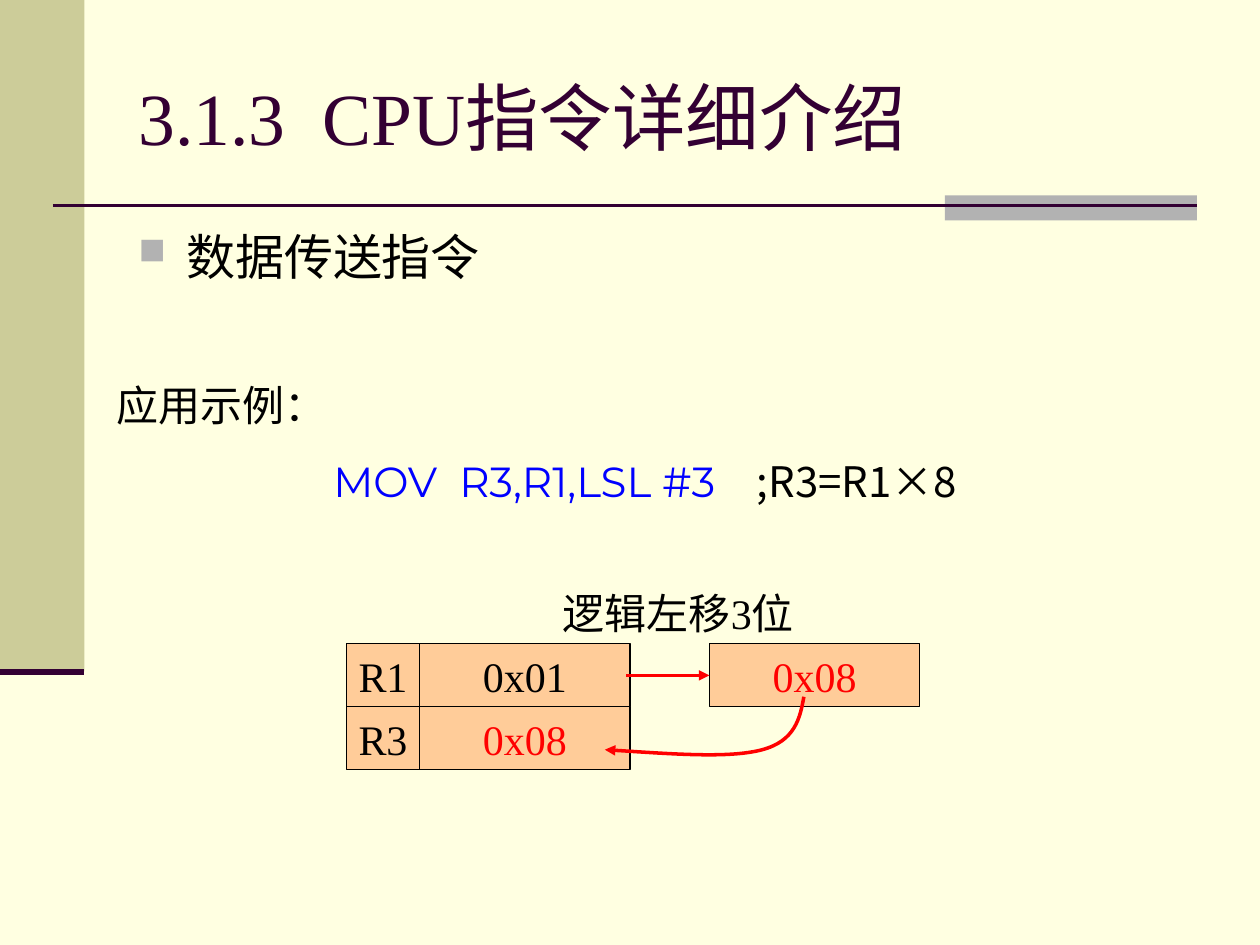
import dataclasses

import pptx
import pptx.dml.color
import pptx.enum.shapes
import pptx.enum.text
import pptx.oxml
import pptx.oxml.ns
import pptx.util

Inches = pptx.util.Inches
Pt = pptx.util.Pt
Align = pptx.enum.text.PP_ALIGN
Anchor = pptx.enum.text.MSO_ANCHOR
Shape = pptx.enum.shapes.MSO_SHAPE
qn = pptx.oxml.ns.qn


@dataclasses.dataclass(frozen=True)
class Theme:
    paper: str = "FFFFE1"
    olive: str = "CCCC99"
    grey: str = "B2B2B2"
    plum: str = "330033"
    ink: str = "000000"
    code: str = "0000FF"
    cell: str = "FFCC99"
    accent: str = "FF0000"
    serif: str = "Times New Roman"
    sans: str = "Arial"
    code_face: str = "Montserrat"
    chinese: str = "Noto Sans CJK JP"
    title_size: int = 42
    topic_size: int = 28
    text_size: int = 24


THEME = Theme()


def rgb(color):
    return pptx.dml.color.RGBColor.from_string(color)


def add_element(parent, tag, **attributes):
    element = pptx.oxml.parse_xml(f"<{tag} {pptx.oxml.ns.nsdecls('a')}/>")
    for name, value in attributes.items():
        element.set(name, str(value))
    parent.append(element)
    return element


def add_span(para, text, color=THEME.ink, face=THEME.serif, size=THEME.text_size):
    span = para.add_run()
    span.text = text
    span.font.name = face
    span.font.size = Pt(size)
    span.font.color.rgb = rgb(color)
    add_element(span.font._element, "a:ea", typeface=THEME.chinese)


def add_text_box(page, left, top, width, height, wrap=True):
    box = page.shapes.add_textbox(Inches(left), Inches(top), Inches(width), Inches(height))
    box.text_frame.word_wrap = wrap
    return box.text_frame


def add_rectangle(page, left, top, width, height, color):
    box = page.shapes.add_shape(
        Shape.RECTANGLE, Inches(left), Inches(top), Inches(width), Inches(height))
    box.shadow.inherit = False
    box.fill.solid()
    box.fill.fore_color.rgb = rgb(color)
    box.line.fill.background()
    return box


def style_line(shape, color, width, arrow=False):
    shape.line.color.rgb = rgb(color)
    shape.line.width = Pt(width)
    if arrow:
        add_element(shape.line._get_or_add_ln(), "a:tailEnd", type="triangle")


def add_line(page, start, end, color, width, arrow=False):
    line = page.shapes.add_connector(
        pptx.enum.shapes.MSO_CONNECTOR.STRAIGHT, *map(Inches, start + end))
    style_line(line, color, width, arrow)
    add_element(line._element.spPr, "a:effectLst")


def add_curved_arrow(page, points):
    """Draw cubic curves: a start point, then three points for each curve."""
    corners = [(Inches(x), Inches(y)) for x, y in points]
    builder = page.shapes.build_freeform(*corners[0])
    builder.add_line_segments(corners[1:], close=False)
    curve = builder.convert_to_shape()
    curve.shadow.inherit = False
    curve.fill.background()
    style_line(curve, THEME.accent, 2, arrow=True)
    path = next(curve._element.iter(qn("a:path")))
    segments = path.findall(qn("a:lnTo"))
    for first in range(0, len(segments), 3):
        bezier = add_element(path, "a:cubicBezTo")
        for segment in segments[first:first + 3]:
            bezier.append(segment[0])
            path.remove(segment)


def add_frame(page):
    page.background.fill.solid()
    page.background.fill.fore_color.rgb = rgb(THEME.paper)
    add_rectangle(page, 0, 0, 0.67, 5.33, THEME.olive)
    add_rectangle(page, 7.5, 1.55, 2, 0.2, THEME.grey)
    add_line(page, (0.42, 1.63), (9.5, 1.63), THEME.plum, 1.5)
    add_line(page, (0, 5.33), (0.67, 5.33), THEME.plum, 3.5)


def add_title(page, left, top, width, height):
    title = page.shapes.title
    title.left, title.top = Inches(left), Inches(top)
    title.width, title.height = Inches(width), Inches(height)
    frame = title.text_frame
    frame.auto_size = pptx.enum.text.MSO_AUTO_SIZE.NONE
    frame.vertical_anchor = Anchor.MIDDLE
    para = frame.paragraphs[0]
    para.alignment = Align.LEFT
    add_span(para, "3.1.3  CPU指令详细介绍", THEME.plum, size=THEME.title_size)


def add_topic(page, left, top, width, height):
    para = add_text_box(page, left, top, width, height).paragraphs[0]
    properties = para._element.get_or_add_pPr()
    properties.set("marL", str(Inches(0.38)))
    properties.set("indent", str(-Inches(0.38)))
    bullet_color = add_element(properties, "a:buClr")
    add_element(bullet_color, "a:srgbClr", val=THEME.grey)
    add_element(properties, "a:buSzPct", val=76000)
    add_element(properties, "a:buChar", char="■")
    add_span(para, "数据传送指令", face=THEME.sans, size=THEME.topic_size)


def add_example(page, left, top, width, height):
    frame = add_text_box(page, left, top, width, height)
    add_span(frame.paragraphs[0], "应用示例：", face=THEME.code_face)
    para = frame.add_paragraph()
    para.alignment = Align.CENTER
    para.space_before = Pt(15)
    tabs = add_element(para._element.get_or_add_pPr(), "a:tabLst")
    for stop in (1, 3.36):
        add_element(tabs, "a:tab", pos=Inches(stop), algn="l")
    add_span(para, "MOV\tR3,R1,LSL #3\t", THEME.code, THEME.code_face)
    add_span(para, ";R3=R1×8", face=THEME.chinese)


def add_register_cell(page, left, top, width, height, text, color):
    box = add_rectangle(page, left, top, width, height, THEME.cell)
    style_line(box, THEME.ink, 0.75)
    frame = box.text_frame
    frame.word_wrap = False
    frame.vertical_anchor = Anchor.MIDDLE
    frame.paragraphs[0].alignment = Align.CENTER
    add_span(frame.paragraphs[0], text, color)


def add_shift_diagram(page, left, top):
    name_width, value_width, row = 0.58, 1.67, 0.5
    value_left, result_left = left + name_width, left + 2.88
    registers = (("R1", "0x01", THEME.ink), ("R3", "0x08", THEME.accent))
    for index, (name, value, color) in enumerate(registers):
        y = top + index * row
        add_register_cell(page, left, y, name_width, row, name, THEME.ink)
        add_register_cell(page, value_left, y, value_width, row, value, color)
    add_register_cell(page, result_left, top, value_width, row, "0x08", THEME.accent)

    middle = top + row / 2
    add_line(page, (left + 2.22, middle), (result_left, middle), THEME.accent, 2, arrow=True)
    offsets = ((3.63, 0.42), (3.6, 0.59), (3.56, 0.77), (3.3, 0.84),
               (3.04, 0.91), (2.54, 0.87), (2.05, 0.84))
    add_curved_arrow(page, [(left + x, top + y) for x, y in offsets])

    caption = add_text_box(page, left + 1.22, top - row, 2.83, row, wrap=False)
    caption.vertical_anchor = Anchor.MIDDLE
    caption.paragraphs[0].alignment = Align.CENTER
    add_span(caption.paragraphs[0], "逻辑左移3位")


def main():
    deck = pptx.Presentation()
    deck.slide_width, deck.slide_height = Inches(10), Inches(7.5)
    page = deck.slides.add_slide(deck.slide_layouts.get_by_name("Title Only"))
    add_frame(page)
    add_title(page, 1, 0.3, 8.5, 1.25)
    add_topic(page, 1, 1.75, 8.5, 0.83)
    add_example(page, 0.83, 2.96, 8.58, 1.11)
    add_shift_diagram(page, 2.75, 5.11)
    deck.save("out.pptx")


if __name__ == "__main__":
    main()
